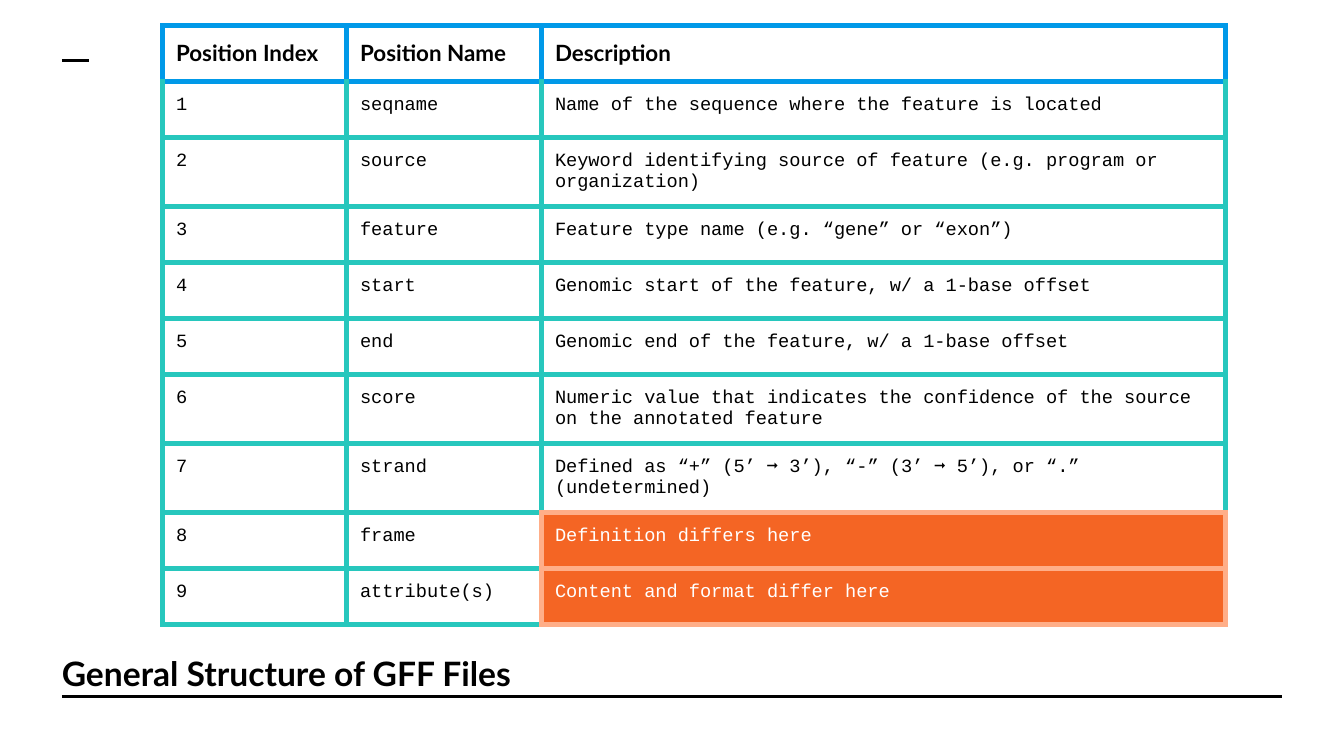
import pptx
import pptx.dml.color
import pptx.enum.shapes
import pptx.enum.text
import pptx.oxml
import pptx.oxml.ns
import pptx.util
from pptx.util import Inches

SLIDE_WIDTH = 10
SLIDE_HEIGHT = SLIDE_WIDTH * 9 / 16
BLACK, WHITE = "000000", "FFFFFF"
BLUE, TEAL, PEACH, ORANGE = "0099E8", "27C7BD", "FFAE88", "F46524"
INSET = 0.1

HEADINGS = ("Position Index", "Position Name", "Description")
FIELDS = (
    ("seqname", "Name of the sequence where the feature is located"),
    ("source", "Keyword identifying source of feature (e.g. program or organization)"),
    ("feature", "Feature type name (e.g. “gene” or “exon”)"),
    ("start", "Genomic start of the feature, w/ a 1-base offset"),
    ("end", "Genomic end of the feature, w/ a 1-base offset"),
    ("score", "Numeric value that indicates the confidence of the source on the annotated feature"),
    ("strand", "Defined as “+” (5’ ➞ 3’), “-” (3’ ➞ 5’), or “.” (undetermined)"),
    ("frame", "Definition differs here"),
    ("attribute(s)", "Content and format differ here"),
)
DIFFERING_FIELDS = ("frame", "attribute(s)")


def rgb(value):
    return pptx.dml.color.RGBColor.from_string(value)


def format_text(paragraph, font_name, size, color, bold):
    paragraph.font.name = font_name
    paragraph.font.size = pptx.util.Pt(size)
    paragraph.font.bold = bold
    paragraph.font.color.rgb = rgb(color)


def set_insets(holder):
    holder.margin_left = holder.margin_right = Inches(INSET)
    holder.margin_top = holder.margin_bottom = Inches(INSET)


def add_rule(slide, left, top, width):
    rule = slide.shapes.add_connector(
        pptx.enum.shapes.MSO_CONNECTOR.STRAIGHT,
        Inches(left), Inches(top), Inches(left + width), Inches(top))
    rule.line.color.rgb = rgb(BLACK)
    rule.line.width = pptx.util.Pt(1.5)
    rule._element.spPr.append(pptx.oxml.parse_xml(
        f'<a:effectLst {pptx.oxml.ns.nsdecls("a")}/>'))


def add_caption(slide, left, top, width, height):
    caption = slide.shapes.title
    caption.left, caption.top = Inches(left), Inches(top)
    caption.width, caption.height = Inches(width), Inches(height)
    frame = caption.text_frame
    frame.text = "General Structure of GFF Files"
    frame.word_wrap = True
    frame.auto_size = pptx.enum.text.MSO_AUTO_SIZE.NONE
    frame.vertical_anchor = pptx.enum.text.MSO_ANCHOR.MIDDLE
    set_insets(frame)
    frame.paragraphs[0].alignment = pptx.enum.text.PP_ALIGN.LEFT
    format_text(frame.paragraphs[0], "Lato", 18, BLACK, True)


def set_border(cell, side, color):
    cell._tc.get_or_add_tcPr().append(pptx.oxml.parse_xml(
        f'<a:ln{side} {pptx.oxml.ns.nsdecls("a")} w="{pptx.util.Pt(3)}">'
        f'<a:solidFill><a:srgbClr val="{color}"/></a:solidFill></a:ln{side}>'))


def add_field_table(slide, left, top, column_widths, height):
    rows = [HEADINGS] + [
        (str(index), *field) for index, field in enumerate(FIELDS, start=1)]
    table = slide.shapes.add_table(
        len(rows), len(HEADINGS), Inches(left), Inches(top),
        Inches(sum(column_widths)), Inches(height)).table
    for column, width in zip(table.columns, column_widths):
        column.width = Inches(width)

    def differs(r, c):
        return c == 2 and rows[r][1] in DIFFERING_FIELDS

    def outline(r, c):
        if r == 0:
            return BLUE
        return PEACH if differs(r, c) else TEAL

    def edge_color(r, c, down, across):
        own, near_r, near_c = outline(r, c), r + down, c + across
        inside = 0 <= near_r < len(rows) and 0 <= near_c < len(HEADINGS)
        return outline(near_r, near_c) if inside and own == TEAL else own

    sides = (("L", 0, -1), ("R", 0, 1), ("T", -1, 0), ("B", 1, 0))
    for r, texts in enumerate(rows):
        for c, text in enumerate(texts):
            cell = table.cell(r, c)
            cell.text = text
            set_insets(cell)
            for side, down, across in sides:
                set_border(cell, side, edge_color(r, c, down, across))
            cell.fill.solid()
            cell.fill.fore_color.rgb = rgb(ORANGE if differs(r, c) else WHITE)
            paragraph = cell.text_frame.paragraphs[0]
            if r == 0:
                format_text(paragraph, "Lato", 12, BLACK, True)
            else:
                color = WHITE if differs(r, c) else BLACK
                format_text(paragraph, "Courier New", 10, color, False)


def add_gff_slide(deck):
    slide = deck.slides.add_slide(deck.slide_layouts.get_by_name("Title Only"))
    add_rule(slide, 0.46, 5.18, 9.08)
    add_rule(slide, 0.46, 0.45, 0.2)
    add_caption(slide, 0.36, 4.79, 9.17, 0.43)
    add_field_table(slide, 1.21, 0.19, (1.37, 1.45, 5.09), 4.17)


def main():
    deck = pptx.Presentation()
    deck.slide_width = Inches(SLIDE_WIDTH)
    deck.slide_height = Inches(SLIDE_HEIGHT)
    add_gff_slide(deck)
    deck.save("out.pptx")


if __name__ == "__main__":
    main()
